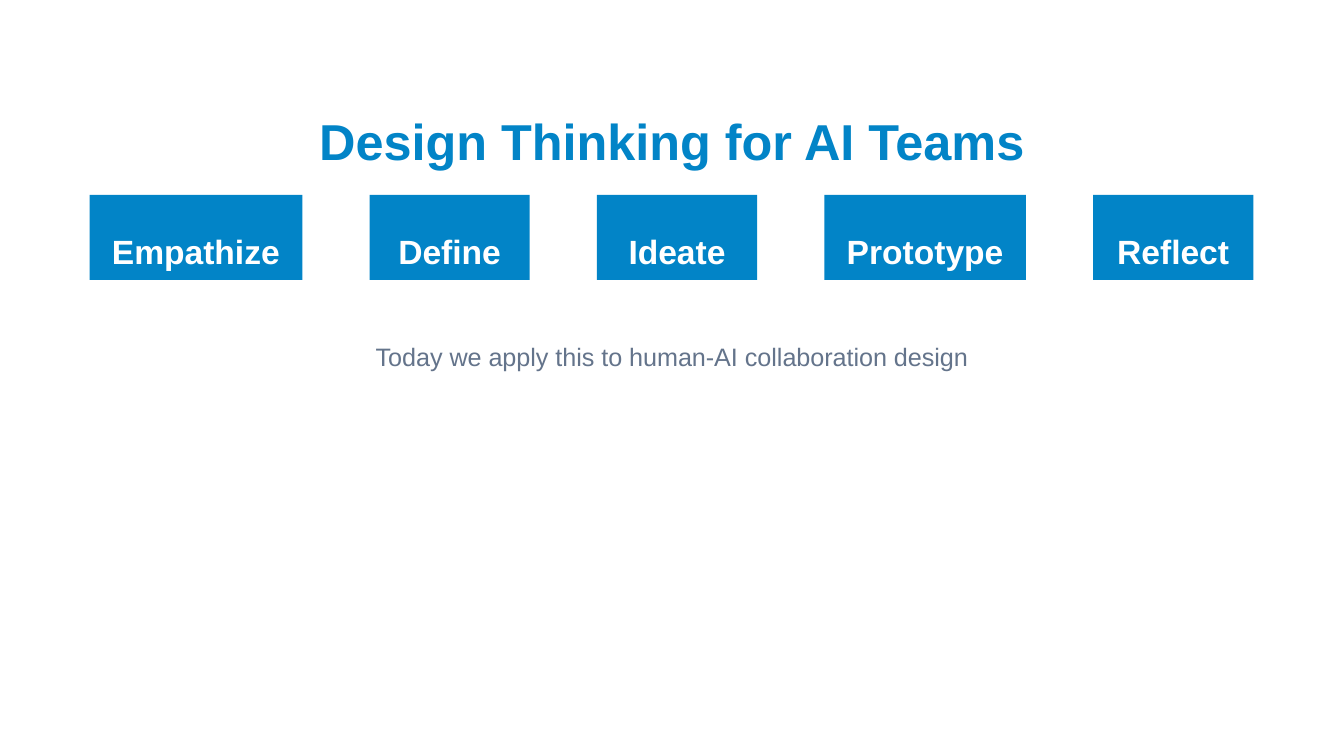
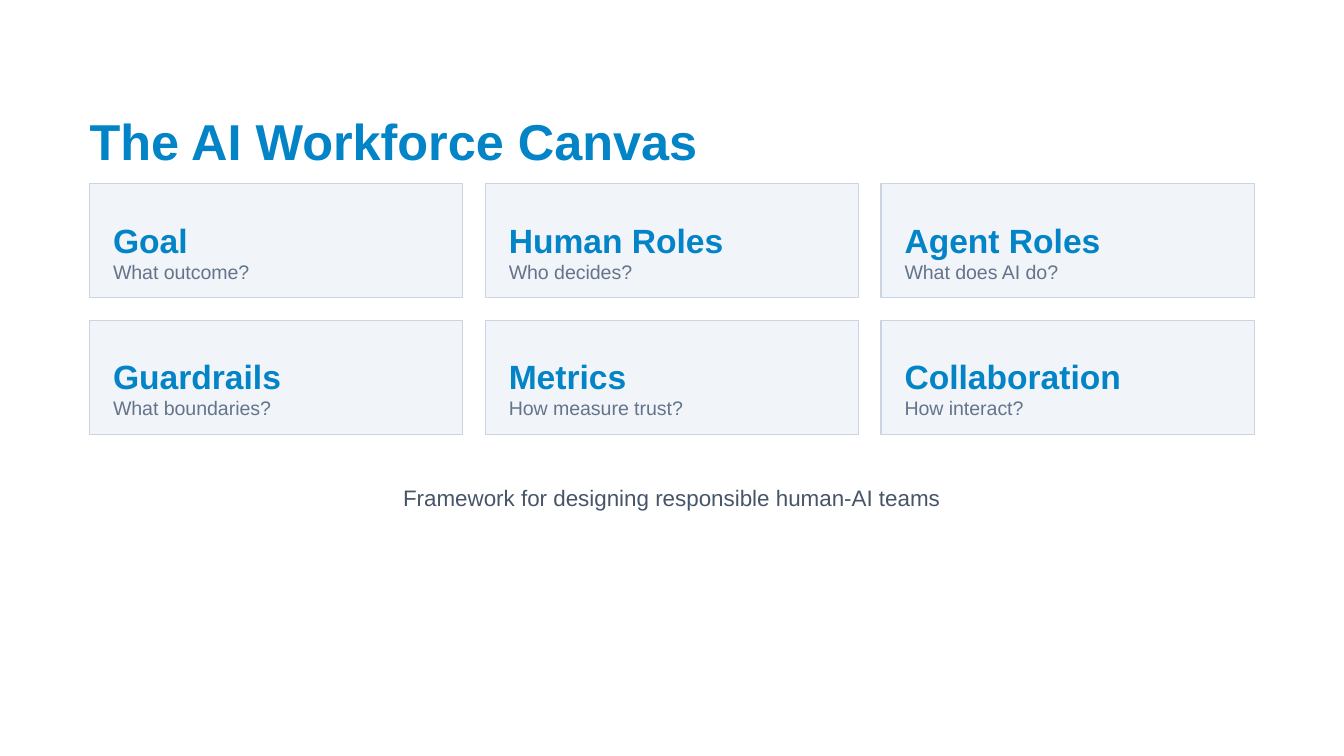
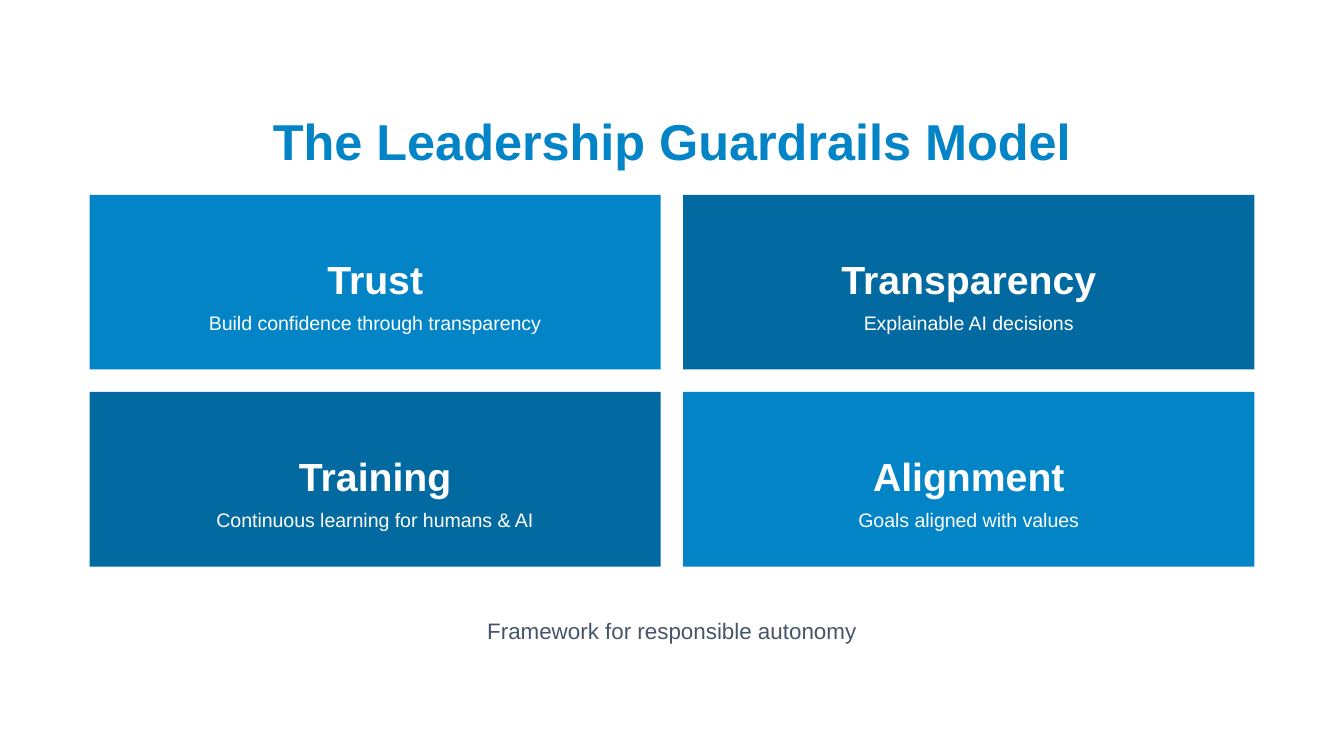
from dataclasses import dataclass
from typing import Optional

from pptx import Presentation
from pptx import util as u
from pptx.dml.color import RGBColor
from pptx.enum import shapes, text
from pptx.slide import Slide

# Colours and font
BLUE = RGBColor(0x02, 0x84, 0xC7)
DEEP_BLUE = RGBColor(0x03, 0x69, 0xA1)
WHITE = RGBColor(0xFF, 0xFF, 0xFF)
PALE = RGBColor(0xF1, 0xF5, 0xF9)
BORDER = RGBColor(0xCB, 0xD5, 0xE1)
SLATE = RGBColor(0x64, 0x74, 0x8B)
DARK_SLATE = RGBColor(0x47, 0x55, 0x69)
FONT = "Arial"

# Square grid: 60 columns across the slide; all lengths below are in grid units
SLIDE_W, SLIDE_H = u.Inches(10), u.Inches(5.625)
COLUMNS = 60
MARGIN = 4
CONTENT_W = COLUMNS - 2 * MARGIN
GAP = 1
STEP_GAP = 3
TEXT_LEFT, TEXT_W = 3.5, 53
TITLE_TOP = 4

LEFT, CENTER = text.PP_ALIGN.LEFT, text.PP_ALIGN.CENTER


@dataclass(frozen=True)
class Panel:
    label: str
    note: str = ""
    fill: RGBColor = BLUE


@dataclass(frozen=True)
class PanelStyle:
    height: float
    inset: float
    right_inset: float
    label_top: float
    label_size: float
    note_top: float = 0
    label_color: RGBColor = WHITE
    note_color: RGBColor = WHITE
    border: Optional[RGBColor] = None
    align: text.PP_ALIGN = CENTER


STEP_STYLE = PanelStyle(3.8, 0.93, 0.93, 1, 18)
CARD_STYLE = PanelStyle(5.1, 1.05, 0.75, 1, 18, 2.8, BLUE, SLATE, BORDER, LEFT)
PILLAR_STYLE = PanelStyle(7.8, 1.8, 1.8, 2, 21, 4.6)

# Slide content
STEPS = [("Empathize", 9.5), ("Define", 7.15), ("Ideate", 7.15),
         ("Prototype", 9), ("Reflect", 7.15)]
CARDS = [
    Panel("Goal", "What outcome?", PALE),
    Panel("Human Roles", "Who decides?", PALE),
    Panel("Agent Roles", "What does AI do?", PALE),
    Panel("Guardrails", "What boundaries?", PALE),
    Panel("Metrics", "How measure trust?", PALE),
    Panel("Collaboration", "How interact?", PALE),
]
PILLARS = [
    Panel("Trust", "Build confidence through transparency"),
    Panel("Transparency", "Explainable AI decisions", DEEP_BLUE),
    Panel("Training", "Continuous learning for humans & AI", DEEP_BLUE),
    Panel("Alignment", "Goals aligned with values"),
]


def grid(units: float) -> u.Emu:
    return u.Emu(round(units * SLIDE_W / COLUMNS))


def add_text(s: Slide, words: str, left: float, top: float, width: float, *,
             size: float, color: RGBColor, bold: bool = False,
             align: text.PP_ALIGN = CENTER) -> None:
    """Headings (bold) and body text each have their own line height."""
    box_ratio, line_ratio = (1.2, 1.6) if bold else (1.4, 28 / 15)
    box = s.shapes.add_textbox(grid(left), grid(top), grid(width),
                               u.Pt(size * box_ratio))
    tf = box.text_frame
    tf.word_wrap = True
    tf.margin_left = tf.margin_right = tf.margin_top = tf.margin_bottom = 0
    p = tf.paragraphs[0]
    p.alignment = align
    p.line_spacing = u.Pt(size * line_ratio)
    r = p.add_run()
    r.text = words
    r.font.name, r.font.size, r.font.bold = FONT, u.Pt(size), bold
    r.font.color.rgb = color


def add_title(s: Slide, words: str, left: float = TEXT_LEFT,
              align: text.PP_ALIGN = CENTER) -> None:
    add_text(s, words, left, TITLE_TOP, TEXT_W, size=27, color=BLUE,
             bold=True, align=align)


def add_caption(s: Slide, words: str, top: float, size: float = 12,
                color: RGBColor = DARK_SLATE) -> None:
    add_text(s, words, TEXT_LEFT, top, TEXT_W, size=size, color=color)


def add_panel(s: Slide, panel: Panel, style: PanelStyle,
              left: float, top: float, width: float) -> None:
    sp = s.shapes.add_shape(shapes.MSO_SHAPE.RECTANGLE, grid(left), grid(top),
                            grid(width), grid(style.height))
    sp.shadow.inherit = False
    sp.fill.solid()
    sp.fill.fore_color.rgb = panel.fill
    if style.border is None:
        sp.line.fill.background()
    else:
        sp.line.color.rgb = style.border
        sp.line.width = u.Pt(0.6)

    text_left = left + style.inset
    text_w = width - style.inset - style.right_inset
    add_text(s, panel.label, text_left, top + style.label_top, text_w,
             size=style.label_size, color=style.label_color, bold=True,
             align=style.align)
    if panel.note:
        add_text(s, panel.note, text_left, top + style.note_top, text_w,
                 size=10.5, color=style.note_color, align=style.align)


def add_panel_grid(s: Slide, panels: list[Panel], style: PanelStyle,
                   top: float, per_row: int) -> None:
    width = (CONTENT_W - GAP * (per_row - 1)) / per_row
    for i, panel in enumerate(panels):
        row, col = divmod(i, per_row)
        add_panel(s, panel, style, MARGIN + col * (width + GAP),
                  top + row * (style.height + GAP), width)


def build_steps(s: Slide) -> None:
    add_title(s, "Design Thinking for AI Teams")
    left = MARGIN
    for label, width in STEPS:
        add_panel(s, Panel(label), STEP_STYLE, left, 8.7, width)
        left += width + STEP_GAP
    add_caption(s, "Today we apply this to human-AI collaboration design",
                14.5, size=13.5, color=SLATE)


def build_canvas(s: Slide) -> None:
    add_title(s, "The AI Workforce Canvas", left=MARGIN, align=LEFT)
    add_panel_grid(s, CARDS, CARD_STYLE, top=8.2, per_row=3)
    add_caption(s, "Framework for designing responsible human-AI teams", 20.95)


def build_guardrails(s: Slide) -> None:
    add_title(s, "The Leadership Guardrails Model")
    add_panel_grid(s, PILLARS, PILLAR_STYLE, top=8.7, per_row=2)
    add_caption(s, "Framework for responsible autonomy", 26.87)


def main() -> None:
    prs = Presentation()
    prs.slide_width, prs.slide_height = SLIDE_W, SLIDE_H
    blank = prs.slide_layouts[6]
    for build in (build_steps, build_canvas, build_guardrails):
        build(prs.slides.add_slide(blank))
    prs.save("out.pptx")


if __name__ == "__main__":
    main()
